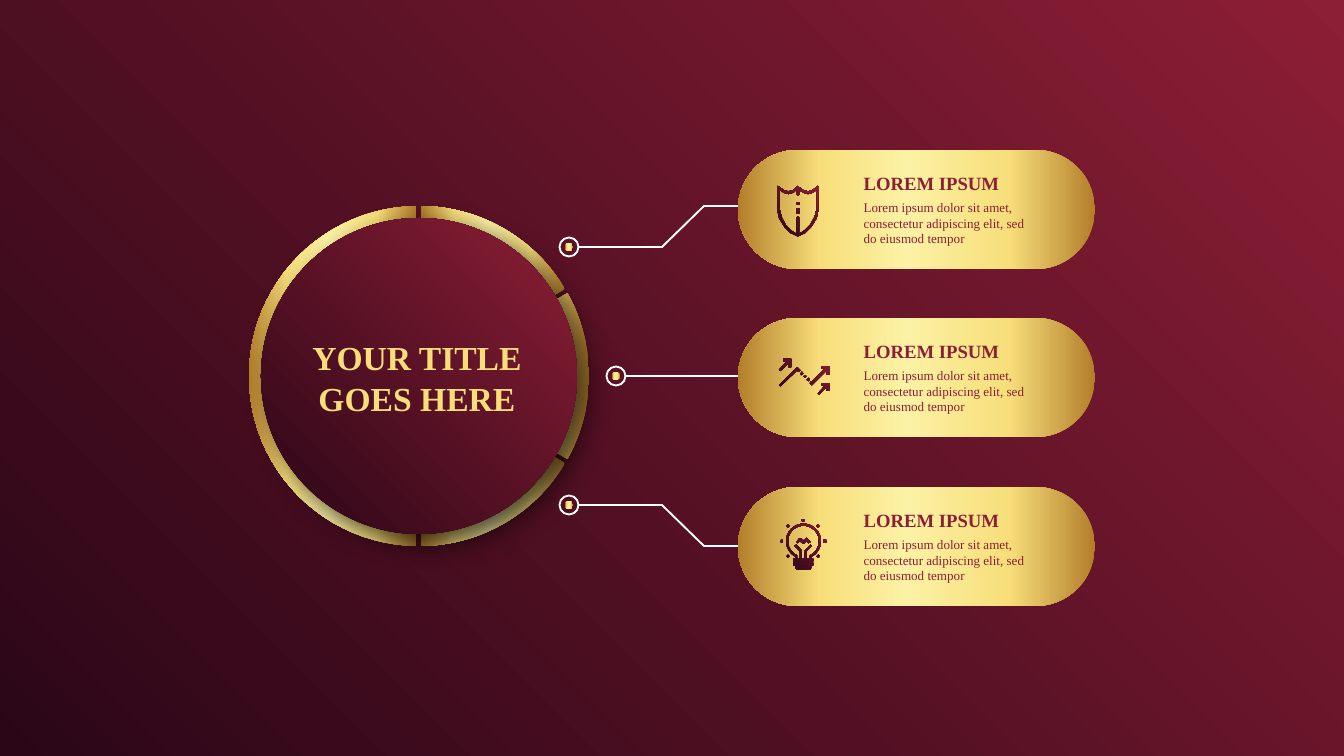
from math import asin, cos, degrees, radians, sin

from lxml.etree import SubElement
from pptx import Presentation
from pptx.dml.color import RGBColor
from pptx.enum.shapes import MSO_CONNECTOR as Connector, MSO_SHAPE as Shape
from pptx.enum.text import MSO_ANCHOR as Anchor, MSO_AUTO_SIZE as AutoSize, PP_ALIGN as Align
from pptx.oxml.ns import qn
from pptx.oxml.xmlchemy import OxmlElement
from pptx.util import Pt

THEME = {
    "gold": [(0, "B37E2A"), (24, "F7DE7A"), (53, "FCF2A5"), (77, "F7DE7A"), (100, "B37E2A")],
    "wine": [(0, "8C1E35"), (100, "2A0617")],
    "line": "FFFFFF",
    "shadow": "000000",
    "font": "Times New Roman",
    "title": 36,
    "heading": 20,
    "body": 14,
    "stroke": 2,
}
PX = 914400 / 67.2
ICON_UNIT = 9144


def arc(cx, cy, radius, start, end, steps=48):
    angles = [radians(start + (end - start) * i / steps) for i in range(steps + 1)]
    return [(cx + radius * cos(a), cy + radius * sin(a)) for a in angles]


def box(left, top, right, bottom):
    return [(left, top), (right, top), (right, bottom), (left, bottom)]


SHIELD = [
    [(0, 2), (1, 0), (3, 1), (10, 6), (17, 8), (24, 6), (30, 1), (31, 0), (32, 1), (39, 6),
     (46, 8), (53, 6), (59, 1), (61, 0), (62, 2), (62, 34), (59, 48), (51, 61), (42, 70),
     (31, 75), (20, 70), (11, 61), (3, 48), (0, 34)],
    [(4, 34), (4, 6), (10, 10), (17, 12), (24, 10), (29, 6), (29, 13), (31, 14), (33, 13),
     (33, 6), (39, 10), (46, 12), (53, 10), (59, 6), (59, 34), (56, 46), (49, 58), (41, 66),
     (33, 71), (33, 47), (31, 45), (29, 47), (29, 71), (21, 66), (13, 58), (7, 46)],
    box(29, 24, 33, 28),
    box(29, 33, 33, 41),
]
ARROWS = [
    [(34, 19), (32, 22), (34, 24), (36, 22)],
    [(39, 24), (36, 26), (39, 28), (41, 26)],
    [(44, 28), (41, 31), (44, 33), (46, 31)],
    [(27, 12), (0, 39), (2, 41), (27, 17), (29, 19), (32, 17)],
    [(63, 11), (63, 14), (69, 14), (49, 34), (48, 33), (46, 36), (49, 39), (71, 17),
     (71, 23), (75, 23), (75, 11)],
    [(63, 39), (69, 39), (58, 51), (60, 53), (71, 42), (71, 47), (75, 47), (75, 36), (63, 36)],
    [(2, 18), (14, 7), (14, 12), (18, 12), (18, 0), (6, 0), (6, 4), (11, 4), (0, 16)],
]
BULB = [
    arc(33.5, 33, 26, 118, 422) + [
        (45, 59), (48, 59), (48, 63), (45, 63), (45, 65), (48, 65), (48, 69), (45, 69), (45, 73),
        (44, 75), (23, 75), (21, 73), (21, 69), (18, 69), (18, 65), (21, 65), (21, 63), (18, 63),
        (18, 59), (21, 59)],
    arc(33.5, 33, 23, 115, 425) + [
        (42, 55), (42, 59), (38, 59), (38, 48), (46, 40), (44, 38), (36, 46), (35, 47), (35, 59),
        (31, 59), (31, 47), (23, 38), (20, 40), (28, 48), (28, 59), (24, 59), (24, 55)],
    [(38, 28), (33, 32), (30, 29), (27, 29), (23, 34), (25, 36), (28, 33), (32, 36), (34, 37),
     (38, 33), (41, 36), (44, 34), (39, 29)],
    box(24, 63, 42, 65), box(24, 69, 42, 71),
    box(31, 0, 35, 3), box(0, 31, 3, 35), box(63, 31, 67, 35),
] + [arc(x, y, 2.5, 0, 270, 3) for x in (10.5, 55.5) for y in (10.5, 55.5)]

TITLE = "YOUR TITLE\nGOES HERE"
BODY = "Lorem ipsum dolor sit amet, consectetur adipiscing elit, sed do eiusmod tempor"
ITEMS = [
    {"heading": "LOREM IPSUM", "body": BODY, "top": 150, "icon": SHIELD, "icon_at": (777, 186),
     "marker": (569, 247), "leader": [(578, 247), (662, 247), (704, 206), (740, 206)]},
    {"heading": "LOREM IPSUM", "body": BODY, "top": 318, "icon": ARROWS, "icon_at": (779, 359),
     "marker": (616, 376), "leader": [(626, 376), (742, 376)]},
    {"heading": "LOREM IPSUM", "body": BODY, "top": 487, "icon": BULB, "icon_at": (781, 519),
     "marker": (569, 505), "leader": [(578, 505), (662, 505), (704, 546), (740, 546)]},
]
RING = {"center": (419, 376), "radius": 170, "half_gap": 2.5}
SECTORS = [(-90, -30), (-30, 30), (30, 90), (90, 270)]


def emu(*lengths):
    return [round(length * PX) for length in lengths]


def paint(fill, parent, name):
    fill.solid()
    gradient = OxmlElement("a:gradFill")
    gradient.set("rotWithShape", "1")
    stops = SubElement(gradient, qn("a:gsLst"))
    for position, color in THEME[name]:
        stop = SubElement(stops, qn("a:gs"), pos=str(position * 1000))
        SubElement(stop, qn("a:srgbClr"), val=color)
    if name == "gold":
        SubElement(gradient, qn("a:lin"), ang="10800000", scaled="0")
    else:
        circle = SubElement(gradient, qn("a:path"), {"path": "circle"})
        SubElement(circle, qn("a:fillToRect"), l="100000", b="100000")
    parent.replace(parent.find(qn("a:solidFill")), gradient)


def finish(shape, gradient=None):
    shape.shadow.inherit = False
    if gradient:
        paint(shape.fill, shape.element.spPr, gradient)
        shape.line.fill.background()
    else:
        shape.fill.background()
        stroke(shape)
    return shape


def stroke(shape):
    shape.line.color.rgb = RGBColor.from_string(THEME["line"])
    shape.line.width = Pt(THEME["stroke"])


def preset(kind, left, top, width, height, gradient=None):
    return finish(shapes.add_shape(kind, *emu(left, top, width, height)), gradient)


def outline(contours, gradient=None, unit=PX, at=(0, 0)):
    scaled = [[(x * unit, y * unit) for x, y in contour] for contour in contours]
    builder = shapes.build_freeform(*scaled[0][0])
    for contour in scaled:
        if contour is not scaled[0]:
            builder.move_to(*contour[0])
        builder.add_line_segments(contour[1:], close=bool(gradient))
    return finish(builder.convert_to_shape(*emu(*at)), gradient)


def style(frame, size, gradient, bold, align=Align.LEFT):
    for paragraph in frame.paragraphs:
        paragraph.alignment = align
        for run in paragraph.runs:
            run.font.name = THEME["font"]
            run.font.size = Pt(THEME[size])
            run.font.bold = bold
            paint(run.font.fill, run._r.get_or_add_rPr(), gradient)


def label(text, top, height, size, bold):
    frame = shapes.add_textbox(*emu(857, top, 179, height)).text_frame
    frame.word_wrap = True
    frame.text = text
    style(frame, size, "wine", bold)


deck = Presentation()
deck.slide_width, deck.slide_height = emu(1344, 756)
slide = deck.slides.add_slide(deck.slide_layouts[5])
shapes = slide.shapes
background = slide.background.fill
background.solid()
paint(background, slide.element.find(".//" + qn("p:bgPr")), "wine")

for item in ITEMS:
    leader = item["leader"]
    if len(leader) == 2:
        line = shapes.add_connector(Connector.STRAIGHT, *emu(*leader[0], *leader[1]))
        stroke(line)
        SubElement(line.element.spPr, qn("a:effectLst"))
    else:
        outline([leader])
    x, y = item["marker"]
    for diameter, gradient in ((19, None), (8, "gold")):
        preset(Shape.OVAL, x - diameter / 2, y - diameter / 2, diameter, diameter, gradient)

for item in ITEMS:
    pill = preset(Shape.ROUNDED_RECTANGLE, 738, item["top"], 357, 119, "gold")
    pill.adjustments[0] = 0.5

cx, cy = RING["center"]
margin = degrees(asin(RING["half_gap"] / RING["radius"]))
for start, end in SECTORS:
    middle = radians((start + end) / 2)
    shift = RING["half_gap"] / sin(radians((end - start) / 2))
    apex = (cx + shift * cos(middle), cy + shift * sin(middle))
    outline([[apex] + arc(cx, cy, RING["radius"], start + margin, end - margin)], "gold")

disc = preset(Shape.OVAL, 261, 218, 316, 316, "wine")
shadow = SubElement(disc.element.spPr.find(qn("a:effectLst")), qn("a:outerShdw"),
                    blurRad=str(Pt(30)), dist=str(Pt(14)), dir="2700000", algn="tl", rotWithShape="0")
shade = SubElement(shadow, qn("a:srgbClr"), val=THEME["shadow"])
SubElement(shade, qn("a:alpha"), val="70000")

for item in ITEMS:
    outline(item["icon"], "wine", ICON_UNIT, item["icon_at"])
    label(item["body"], item["top"] + 46, 54, "body", False)
    label(item["heading"], item["top"] + 19, 30, "heading", True)

title = shapes.title
title.left, title.top, title.width, title.height = emu(311, 337, 212, 81)
frame = title.text_frame
frame.text = TITLE
frame.word_wrap = False
frame.auto_size = AutoSize.NONE
frame.vertical_anchor = Anchor.MIDDLE
frame.margin_left = frame.margin_right = frame.margin_top = frame.margin_bottom = 0
style(frame, "title", "gold", True, Align.CENTER)
shapes.element.append(title.element)

deck.save("out.pptx")
